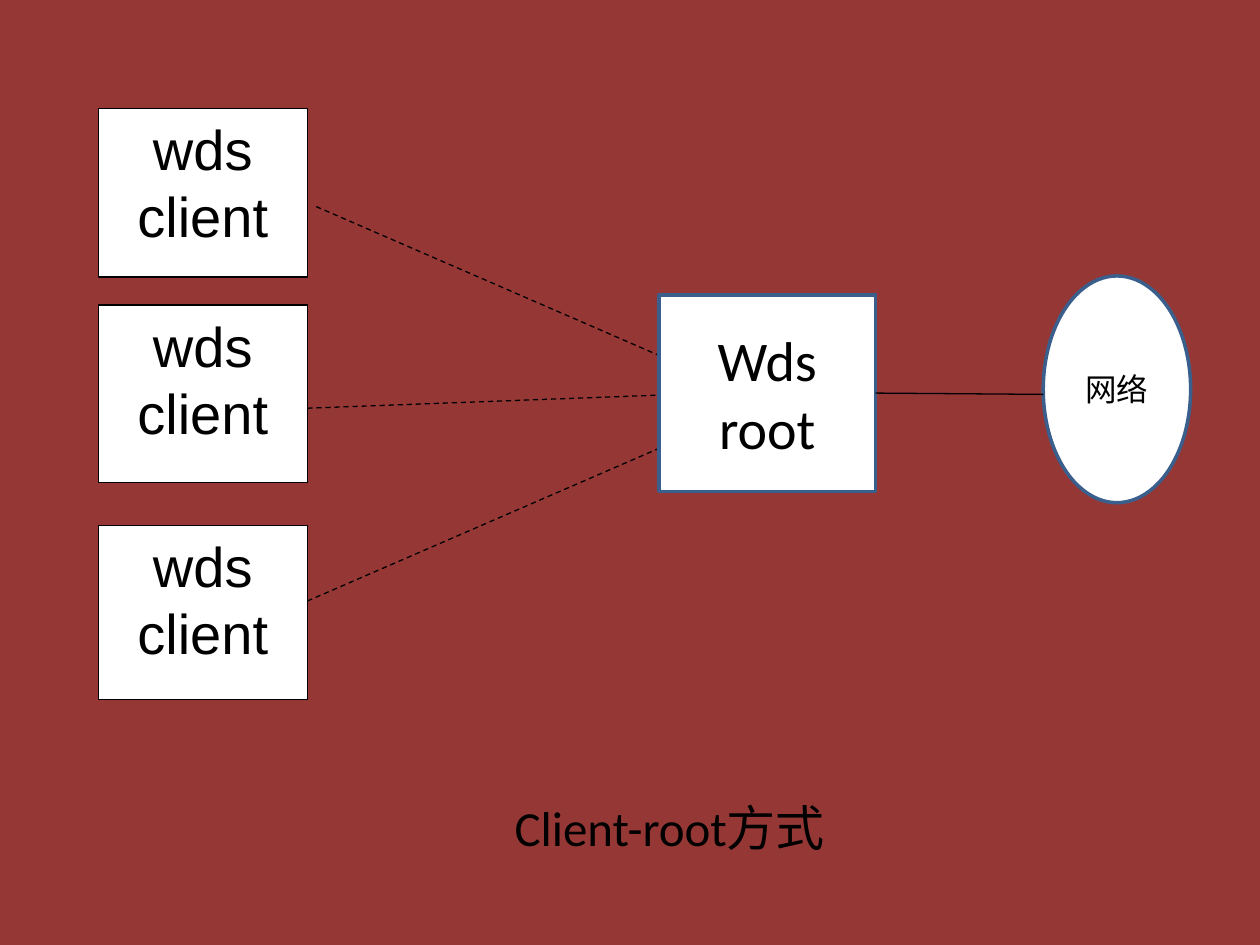
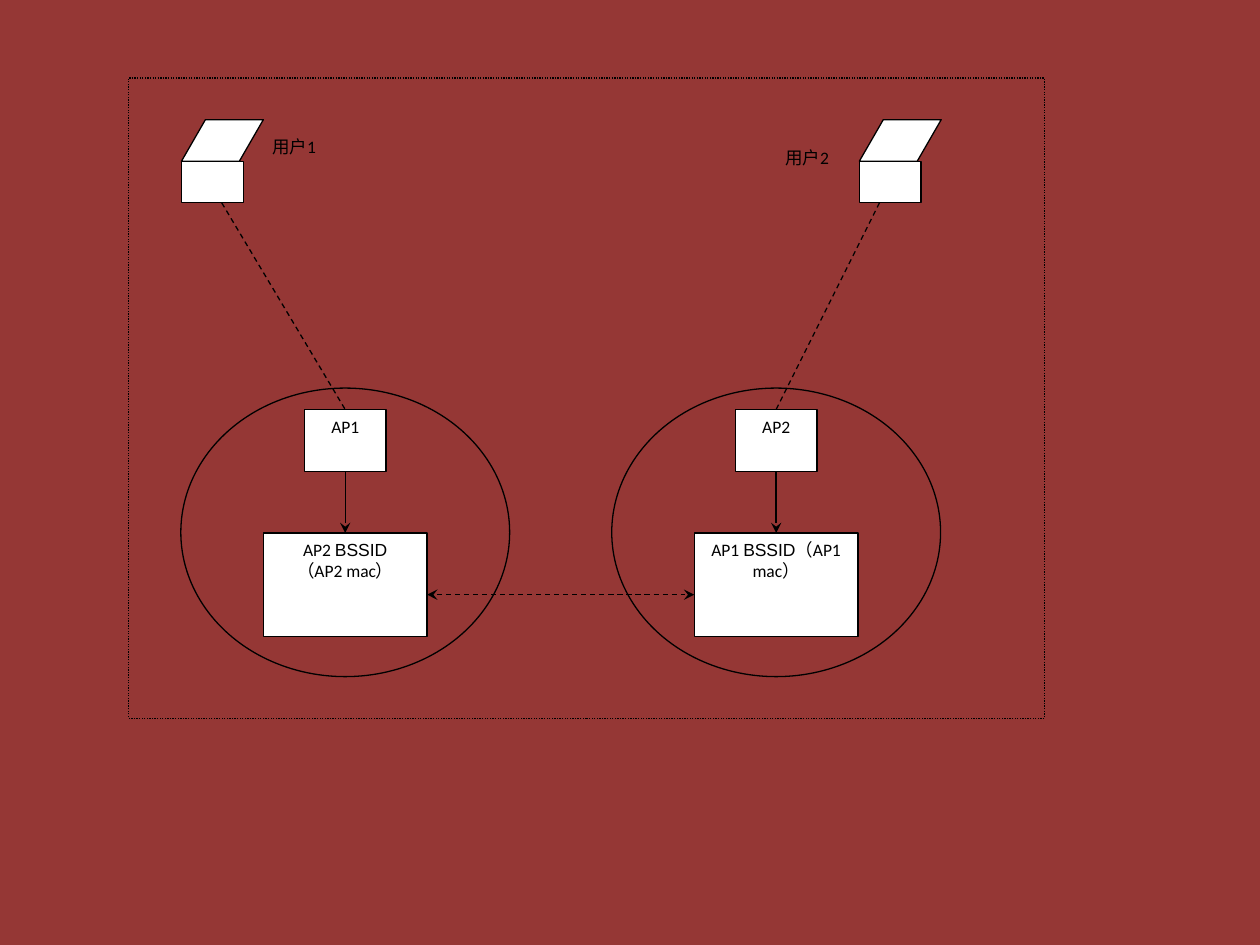
from lxml import etree
from pptx import Presentation
from pptx.dml.color import RGBColor
from pptx.enum import dml, shapes, text
from pptx.oxml import ns
from pptx.util import Inches, Pt

BACKGROUND, BLACK, WHITE, BLUE = "953735", "000000", "FFFFFF", "3A5F8C"
BODY_FONT, LATIN_FONT = "Calibri", "Arial"
RECTANGLE = shapes.MSO_SHAPE.RECTANGLE
OVAL = shapes.MSO_SHAPE.OVAL
PARALLELOGRAM = shapes.MSO_SHAPE.PARALLELOGRAM
DASH = dml.MSO_LINE.DASH
DOTTED = dml.MSO_LINE.ROUND_DOT
MIDDLE = text.MSO_ANCHOR.MIDDLE

# Slide 1: top and height of each client, then the link from it to the root
CLIENTS = [
    (0.86, 1.34, (2.51, 1.64), (5.39, 2.89)),
    (2.42, 1.41, (2.44, 3.24), (5.39, 3.13)),
    (4.17, 1.38, (2.44, 4.77), (5.32, 3.52)),
]
# Kind, place, colour of fill and outline, text size, lines of text
ROOT_SIDE = [
    (RECTANGLE, (5.23, 2.34, 1.72, 1.56), WHITE, BLUE, 32, ["Wds", "root"]),
    (OVAL, (8.28, 2.19, 1.17, 1.8), WHITE, BLUE, 18, ["网络"]),
    (RECTANGLE, (2.97, 6.09, 4.69, 0.94), BACKGROUND, BACKGROUND, 28,
     ["Client-root方式"]),
]

# Slide 2: one column for each access point
COLUMNS = [
    {"centre": 2.74, "name": "AP1", "user": "用户1", "label": (1.93, 1.03),
     "computer": 1.44, "link": 1.76,
     "peer": [[("AP2 ", BODY_FONT), ("BSSID", LATIN_FONT)],
              [("（AP2 mac）", BODY_FONT)]]},
    {"centre": 6.16, "name": "AP2", "user": "用户2", "label": (6.0, 1.12),
     "computer": 6.82, "link": 6.98,
     "peer": [[("AP1 ", BODY_FONT), ("BSSID", LATIN_FONT),
               ("（AP1 mac）", BODY_FONT)]]},
]
PEER_WIDTH = 1.3


def colour(value):
    """Turn a hex string into a colour."""
    return RGBColor.from_string(value)


def write(shape, paragraphs, size, anchor=text.MSO_ANCHOR.TOP):
    """Write centred paragraphs, each a list of (text, font) runs."""
    frame = shape.text_frame
    frame.word_wrap = True
    frame.vertical_anchor = anchor
    for index, runs in enumerate(paragraphs):
        paragraph = frame.add_paragraph() if index else frame.paragraphs[0]
        paragraph.alignment = text.PP_ALIGN.CENTER
        for words, font in runs:
            run = paragraph.add_run()
            run.text = words
            run.font.name = font
            run.font.size = Pt(size)
            run.font.color.rgb = colour(BLACK)


def style_line(line, outline=BLACK, width=0.75, dash=None):
    """Set the colour, width and dash of a line."""
    line.color.rgb = colour(outline)
    line.width = Pt(width)
    if dash:
        line.dash_style = dash


def add_box(slide, kind, place, fill=WHITE, outline=BLACK, width=0.75,
            dash=None):
    """Add a preset shape; a fill of None leaves it open."""
    shape = slide.shapes.add_shape(kind, *map(Inches, place))
    shape.shadow.inherit = False
    if fill:
        shape.fill.solid()
        shape.fill.fore_color.rgb = colour(fill)
    else:
        shape.fill.background()
    style_line(shape.line, outline, width, dash)
    return shape


def add_line(slide, start, end, dash=None, arrows=()):
    """Add a straight line with stealth arrowheads at the named ends."""
    connector = slide.shapes.add_connector(
        shapes.MSO_CONNECTOR.STRAIGHT, *map(Inches, start + end))
    style_line(connector.line, dash=dash)
    properties = connector._element.spPr
    line = properties.find(ns.qn("a:ln"))
    for arrow in arrows:
        etree.SubElement(line, ns.qn("a:" + arrow), type="stealth")
    etree.SubElement(properties, ns.qn("a:effectLst"))


def add_slide(presentation):
    """Add a blank slide with the shared background."""
    slide = presentation.slides.add_slide(presentation.slide_layouts[6])
    slide.background.fill.solid()
    slide.background.fill.fore_color.rgb = colour(BACKGROUND)
    return slide


def build_client_root(slide):
    """Draw the clients, the root they reach and the network."""
    for top, height, start, end in CLIENTS:
        client = add_box(slide, RECTANGLE, (0.78, top, 1.66, height))
        write(client, [[("wds client", LATIN_FONT)]], 32)
        add_line(slide, start, end, DASH)
    for kind, place, fill, outline, size, lines in ROOT_SIDE:
        shape = add_box(slide, kind, place, fill, outline, 2)
        write(shape, [[(line, BODY_FONT)] for line in lines], size, MIDDLE)
    add_line(slide, (6.95, 3.12), (8.28, 3.13))


def add_access_point(slide, column):
    """Draw an access point with its peer entry and its circle."""
    centre = column["centre"]
    access_point = add_box(slide, RECTANGLE, (centre - 0.325, 3.25, 0.65, 0.49))
    write(access_point, [[(column["name"], BODY_FONT)]], 10)
    peer = add_box(slide, RECTANGLE,
                   (centre - PEER_WIDTH / 2, 4.23, PEER_WIDTH, 0.82))
    write(peer, column["peer"], 10)
    add_box(slide, OVAL, (centre - 1.305, 3.08, 2.61, 2.29), fill=None)
    add_line(slide, (centre, 3.74), (centre, 4.23), arrows=["tailEnd"])


def add_user(slide, column):
    """Draw a user's computer, its label and its link to the access point."""
    left = column["computer"]
    add_box(slide, RECTANGLE, (left, 1.28, 0.49, 0.33))
    screen = add_box(slide, PARALLELOGRAM, (left, 0.95, 0.65, 0.33))
    screen.adjustments[0] = 0.577
    add_line(slide, (column["link"], 1.61), (column["centre"], 3.25), DASH)
    label = slide.shapes.add_textbox(
        *map(Inches, column["label"] + (0.81, 0.49)))
    write(label, [[(column["user"], BODY_FONT)]], 10)


def build_access_points(slide):
    """Draw two access points that point at each other, and their users."""
    add_box(slide, RECTANGLE, (1.02, 0.62, 7.27, 5.08), fill=None, dash=DOTTED)
    for column in COLUMNS:
        add_access_point(slide, column)
    first, second = (column["centre"] for column in COLUMNS)
    add_line(slide, (first + PEER_WIDTH / 2, 4.72),
             (second - PEER_WIDTH / 2, 4.72), DASH, ["headEnd", "tailEnd"])
    for column in COLUMNS:
        add_user(slide, column)


presentation = Presentation()
presentation.slide_width = Inches(10)
presentation.slide_height = Inches(7.5)
build_client_root(add_slide(presentation))
build_access_points(add_slide(presentation))
presentation.save("out.pptx")
